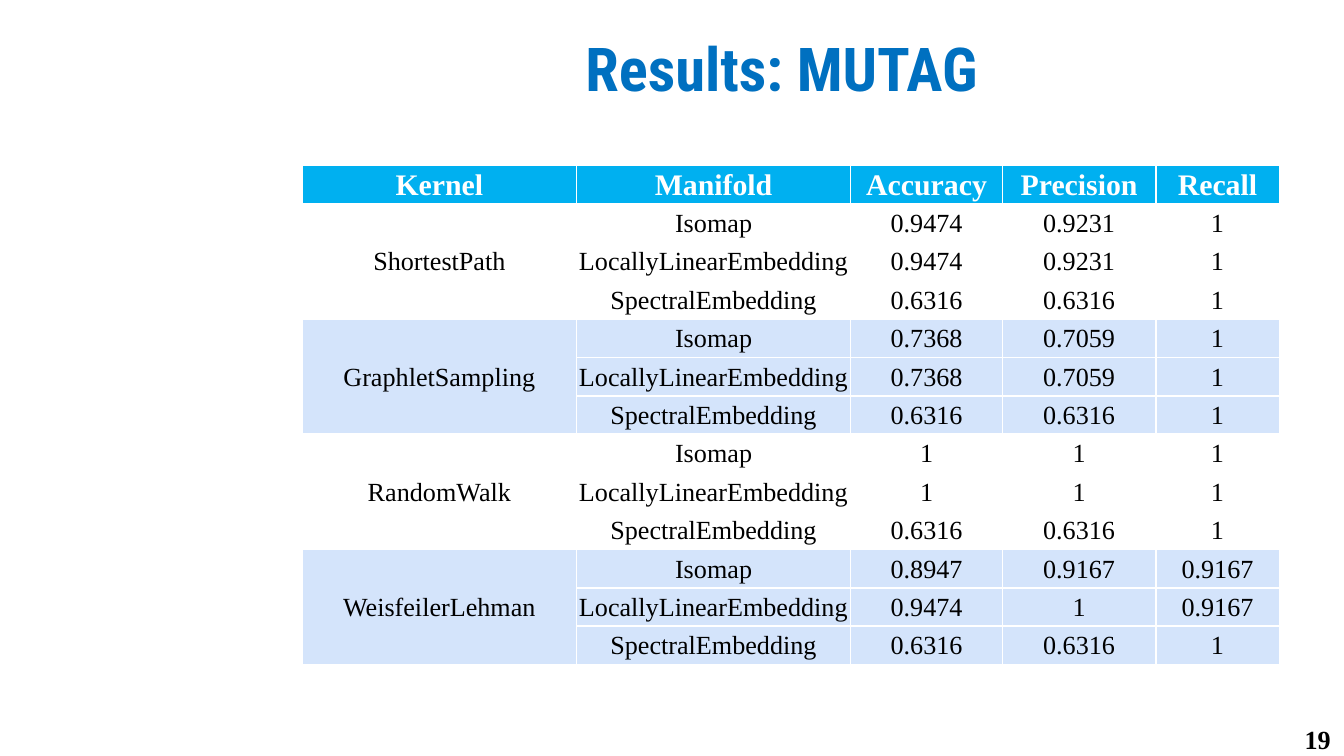
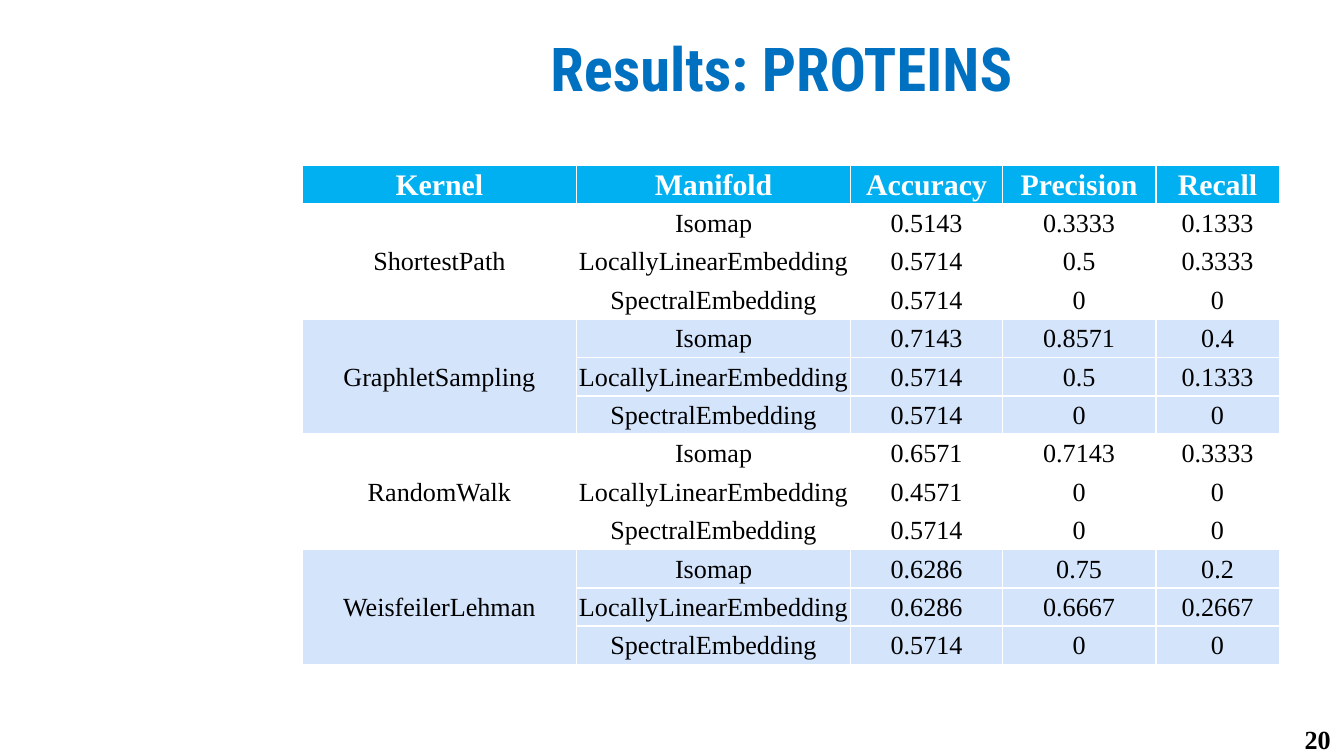
from pptx import Presentation
from pptx.dml.color import RGBColor
from pptx.enum.text import MSO_ANCHOR as ANCHOR, PP_ALIGN as ALIGN
from pptx.oxml import parse_xml
from pptx.oxml.ns import nsdecls
from pptx.util import Inches, Pt

# Shared look
HEADER_FILL, BAND_FILL, BORDER = "00B0F0", "D4E4FB", "FFFFFF"
SERIF = "Times New Roman"
TITLE = dict(name="Roboto Condensed", size=Pt(32.4), bold=True, color="0070C0")
NUMBER = dict(name=SERIF, size=Pt(14), bold=True, color="000000")
HEADER = dict(name=SERIF, size=Pt(16), bold=True, color="FFFFFF")
BODY = dict(name=SERIF, size=Pt(14), bold=False, color="000000")
NO_STYLE = "{2D5ABB26-0587-4C30-8999-92F81FD0307C}"

# Table content
HEADINGS = ["Kernel", "Manifold", "Accuracy", "Precision", "Recall"]
COL_WIDTHS = [2.04, 2.04, 1.13, 1.14, 0.92]
KERNELS = ["ShortestPath", "GraphletSampling", "RandomWalk", "WeisfeilerLehman"]
MANIFOLDS = ["Isomap", "LocallyLinearEmbedding", "SpectralEmbedding"]

# One row of scores per kernel and manifold: accuracy, precision, recall
MUTAG = [
    ("0.9474", "0.9231", "1"),
    ("0.9474", "0.9231", "1"),
    ("0.6316", "0.6316", "1"),
    ("0.7368", "0.7059", "1"),
    ("0.7368", "0.7059", "1"),
    ("0.6316", "0.6316", "1"),
    ("1", "1", "1"),
    ("1", "1", "1"),
    ("0.6316", "0.6316", "1"),
    ("0.8947", "0.9167", "0.9167"),
    ("0.9474", "1", "0.9167"),
    ("0.6316", "0.6316", "1"),
]
PROTEINS = [
    ("0.5143", "0.3333", "0.1333"),
    ("0.5714", "0.5", "0.3333"),
    ("0.5714", "0", "0"),
    ("0.7143", "0.8571", "0.4"),
    ("0.5714", "0.5", "0.1333"),
    ("0.5714", "0", "0"),
    ("0.6571", "0.7143", "0.3333"),
    ("0.4571", "0", "0"),
    ("0.5714", "0", "0"),
    ("0.6286", "0.75", "0.2"),
    ("0.6286", "0.6667", "0.2667"),
    ("0.5714", "0", "0"),
]


def rgb(value):
    return RGBColor.from_string(value)


def write(tf, text, fmt, align):
    p = tf.paragraphs[0]
    p.alignment = align
    r = p.add_run()
    r.text = text
    for key, value in fmt.items():
        if key == "color":
            r.font.color.rgb = rgb(value)
        else:
            setattr(r.font, key, value)


def set_margins(target, left, top, right, bottom):
    for side, value in dict(left=left, top=top, right=right, bottom=bottom).items():
        setattr(target, f"margin_{side}", Inches(value))


def add_text(s, box, text, fmt, align, anchor, margins):
    tf = s.shapes.add_textbox(*map(Inches, box)).text_frame
    tf.word_wrap = True
    tf.vertical_anchor = anchor
    set_margins(tf, *margins)
    write(tf, text, fmt, align)


def style_cell(cell, fill):
    cell.vertical_anchor = ANCHOR.MIDDLE
    set_margins(cell, 0.01, 0.01, 0.01, 0)
    if fill:
        cell.fill.solid()
        cell.fill.fore_color.rgb = rgb(fill)
    else:
        cell.fill.background()
    # Borders come before the fill in the cell properties
    tc_pr = cell._tc.get_or_add_tcPr()
    for i, side in enumerate("LRTB"):
        tc_pr.insert(i, parse_xml(
            f'<a:ln{side} {nsdecls("a")} w="{Pt(1)}"><a:solidFill>'
            f'<a:srgbClr val="{BORDER}"/></a:solidFill></a:ln{side}>'))


def add_results(s, scores):
    group = len(MANIFOLDS)
    frame = s.shapes.add_table(len(scores) + 1, len(HEADINGS), Inches(2.25),
                               Inches(1.23), Inches(sum(COL_WIDTHS)), Inches(3.72))
    table = frame.table
    table._tbl.tblPr.find("{*}tableStyleId").text = NO_STYLE
    table.horz_banding = False
    for col, width in zip(table.columns, COL_WIDTHS):
        col.width = Inches(width)

    # Header row
    for cell, text in zip(table.rows[0].cells, HEADINGS):
        style_cell(cell, HEADER_FILL)
        write(cell.text_frame, text, HEADER, ALIGN.CENTER)

    # Body rows: every second kernel is shaded
    for i, row_scores in enumerate(scores):
        k, m = divmod(i, group)
        texts = [KERNELS[k] if m == 0 else None, MANIFOLDS[m], *row_scores]
        for cell, text in zip(table.rows[i + 1].cells, texts):
            style_cell(cell, BAND_FILL if k % 2 else None)
            if text:
                write(cell.text_frame, text, BODY, ALIGN.CENTER)
    for top in range(1, len(scores) + 1, group):
        table.cell(top, 0).merge(table.cell(top + group - 1, 0))


def add_results_slide(prs, title, number, scores):
    s = prs.slides.add_slide(prs.slide_layouts[6])
    add_text(s, (2.38, 0.1, 6.87, 0.8), title, TITLE, ALIGN.CENTER,
             ANCHOR.MIDDLE, (0.1, 0.1, 0.1, 0.1))
    add_text(s, (7.67, 5.33, 2.33, 0.3), number, NUMBER, ALIGN.RIGHT,
             ANCHOR.TOP, (0.1, 0.05, 0.1, 0.05))
    add_results(s, scores)


def main():
    prs = Presentation()
    # Widescreen, 16:9
    prs.slide_width = Inches(10)
    prs.slide_height = prs.slide_width * 9 // 16
    add_results_slide(prs, "Results: MUTAG", "19", MUTAG)
    add_results_slide(prs, "Results: PROTEINS", "20", PROTEINS)
    prs.save("out.pptx")


if __name__ == "__main__":
    main()
